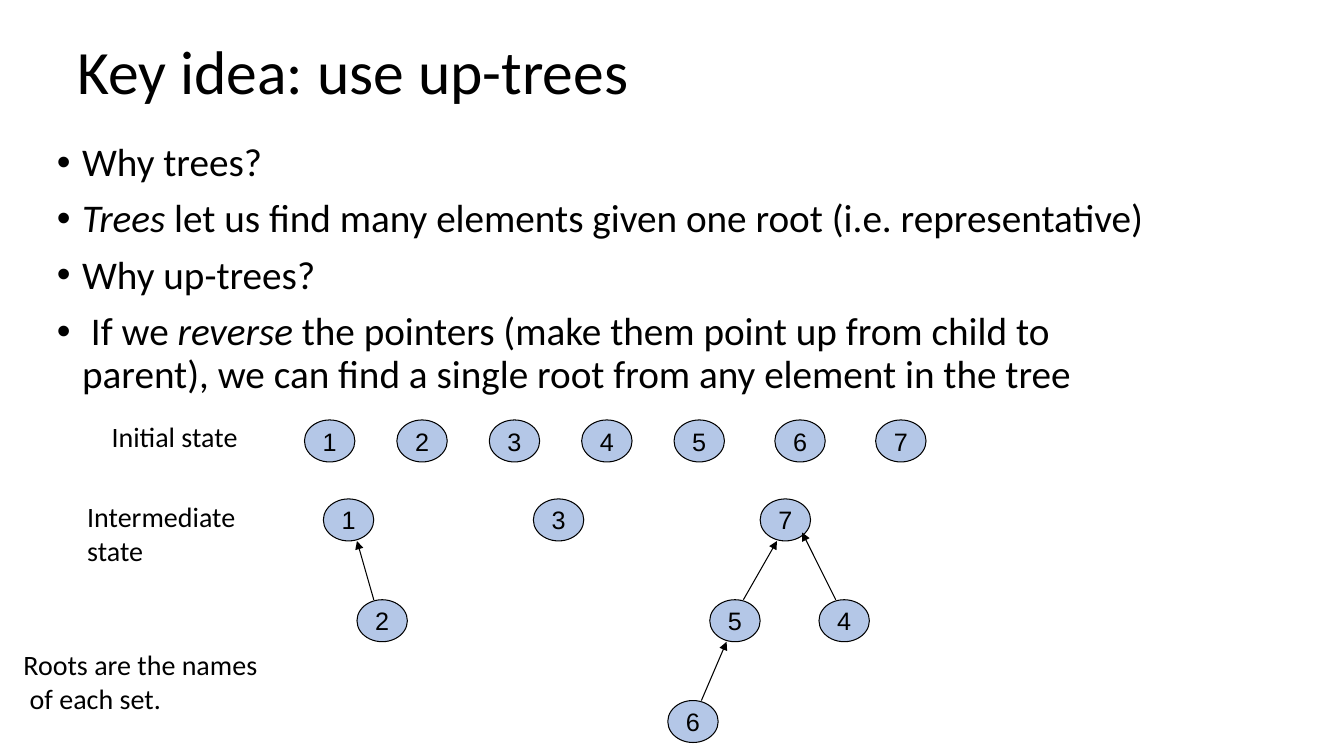
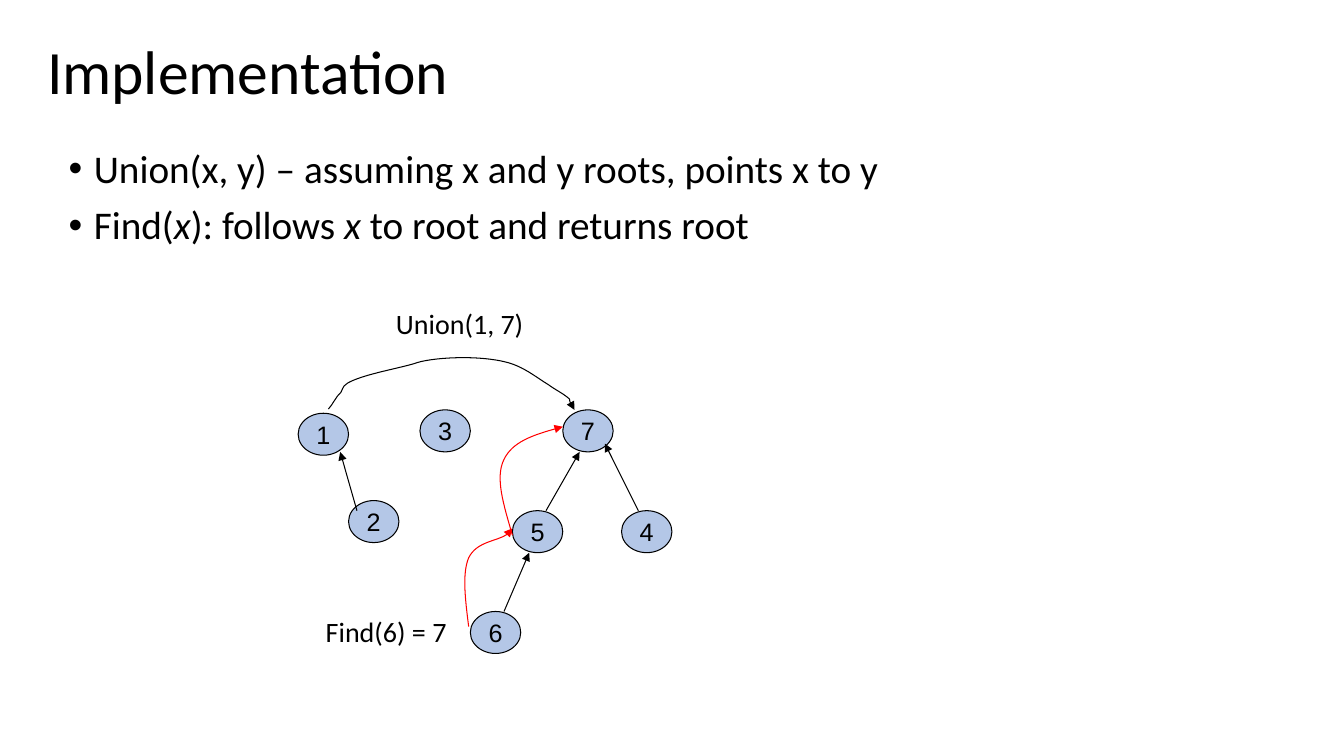
from lxml.etree import SubElement
from pptx import Presentation
from pptx.dml.color import RGBColor
from pptx.enum.shapes import MSO_CONNECTOR, MSO_SHAPE
from pptx.enum.text import MSO_ANCHOR, PP_ALIGN
from pptx.oxml.ns import qn
from pptx.util import Inches, Pt

COLORS = {"ink": "000000", "node": "B4C7E7", "find": "FF0000"}
FONTS = {
    "title": {"name": "Calibri", "size": Pt(44)},
    "body": {"name": "Calibri", "size": Pt(28)},
    "label": {"name": "Calibri", "size": Pt(20)},
    "node": {"name": "Arial", "size": Pt(18)},
}
CELL = Inches(1) // 12  # the slide is 160 columns by 90 rows
NODE = (6, 5)


def grid(*cells):
    return [round(cell * CELL) for cell in cells]


def tint(color, name):
    color.rgb = RGBColor.from_string(COLORS[name])


class Deck:
    """Holds the shared style and the slide being drawn."""

    def __init__(self):
        self.show = Presentation()
        self.show.slide_width, self.show.slide_height = grid(160, 90)
        self.slide = None

    def start(self, title, left):
        layout = self.show.slide_layouts.get_by_name("Title Only")
        self.slide = self.show.slides.add_slide(layout)
        head = self.slide.shapes.title
        head.left, head.top, head.width, head.height = grid(left, 0.1, 138, 17.5)
        head.text_frame.vertical_anchor = MSO_ANCHOR.MIDDLE
        par = head.text_frame.paragraphs[0]
        self.put(par, title, "title", alignment=PP_ALIGN.LEFT, line_spacing=0.9)

    def put(self, par, text, kind, **form):
        """Fill a paragraph; words between asterisks are italic."""
        for key, value in form.items():
            setattr(par, key, value)
        for i, part in enumerate(text.split("*")):
            if part:
                run = par.add_run()
                run.text = part
                for key, value in FONTS[kind].items():
                    setattr(run.font, key, value)
                tint(run.font.color, "ink")
                if i % 2:
                    run.font.italic = True

    def lines(self, box, texts):
        """Add a text box and yield each paragraph with its text."""
        frame = self.slide.shapes.add_textbox(*grid(*box)).text_frame
        frame.word_wrap = True
        for i, text in enumerate(texts):
            yield (frame.add_paragraph() if i else frame.paragraphs[0]), text

    def label(self, box, *texts):
        for par, text in self.lines(box, texts):
            self.put(par, text, "label")

    def bullets(self, box, *texts):
        form = {"line_spacing": 0.9}
        for par, text in self.lines(box, texts):
            props = par._p.get_or_add_pPr()
            props.set("marL", str(Inches(0.25)))
            props.set("indent", str(-Inches(0.25)))
            SubElement(props, qn("a:buFont"), typeface="Arial")
            SubElement(props, qn("a:buChar"), char="•")
            self.put(par, text, "body", **form)
            form["space_before"] = Pt(10)

    def stroke(self, shape, color="ink", arrow=False):
        tint(shape.line.color, color)
        shape.line.width = Pt(0.75)
        if arrow:
            ln = shape.element.spPr.find(qn("a:ln"))
            SubElement(ln, qn("a:tailEnd"), type="triangle")

    def node(self, text, col, row):
        oval = self.slide.shapes.add_shape(MSO_SHAPE.OVAL, *grid(col, row, *NODE))
        oval.shadow.inherit = False
        oval.fill.solid()
        tint(oval.fill.fore_color, "node")
        self.stroke(oval)
        frame = oval.text_frame
        frame.word_wrap = False
        frame.vertical_anchor = MSO_ANCHOR.MIDDLE
        self.put(frame.paragraphs[0], text, "node", alignment=PP_ALIGN.CENTER)

    def arrow(self, start, end):
        line = self.slide.shapes.add_connector(
            MSO_CONNECTOR.STRAIGHT, *grid(*start, *end))
        self.stroke(line, arrow=True)
        SubElement(line.element.spPr, qn("a:effectLst"))

    def curve(self, color, start, *points):
        """Draw Bézier arcs; every three points make one arc."""
        pen = self.slide.shapes.build_freeform(*grid(*start))
        pen.add_line_segments([grid(*point) for point in points], close=False)
        shape = pen.convert_to_shape()
        shape.shadow.inherit = False
        shape.fill.background()
        self.stroke(shape, color, arrow=True)
        track = next(shape.element.iter(qn("a:path")))
        legs = track.findall(qn("a:lnTo"))
        for i in range(0, len(legs), 3):
            arc = SubElement(track, qn("a:cubicBezTo"))
            for leg in legs[i:i + 3]:
                arc.append(leg[0])
                track.remove(leg)

    def tree(self, col, row):
        """Draw the tree whose root 7 stands at the given cell."""
        for text, dx, dy in (("6", -11, 24), ("4", 7, 12), ("5", -6, 12), ("7", 0, 0)):
            self.node(text, col + dx, row + dy)
        for x1, y1, x2, y2 in ((-2, 12, 2, 5), (9, 12, 5, 4), (-7, 24, -4, 17)):
            self.arrow((col + x1, row + y1), (col + x2, row + y2))

    def link(self, col, row):
        """Draw the arrow from 2 up to 1."""
        self.arrow((col, row), (col - 2, row - 7))


def idea(deck):
    deck.start("Key idea: use up-trees", 8)
    deck.bullets(
        (5.6, 16.4, 135.5, 32),
        "Why trees?",
        "*Trees* let us find many elements given one root (i.e. representative)",
        "Why up-trees?",
        " If we *reverse* the pointers (make them point up from child to parent), "
        "we can find a single root from any element in the tree")
    for i in range(7):
        deck.node(str(i + 1), 36.25 + 11 * i + max(0, i - 4), 50)
    deck.label((12.1, 49.4, 19, 5.3), "Initial state")

    top = 59.4
    deck.node("1", 38.5, top)
    deck.node("2", 42.5, top + 12)
    deck.node("3", 63.5, top)
    deck.link(44.5, top + 12)
    deck.tree(90.5, top)
    deck.label((9.2, 58.9, 22, 9.3), "Intermediate", "state")
    deck.label((1.6, 76.5, 32, 9.3), "Roots are the names", " of each set.")


def union(deck):
    deck.start("Implementation", 4.4)
    deck.bullets(
        (7, 17.2, 108, 47),
        "Union(x, y) – assuming x and y roots, points x to y",
        "Find(*x*): follows *x* to root and returns root")
    top = 48.8
    deck.node("1", 35.5, 49.2)
    deck.node("2", 41.5, 59.6)
    deck.node("3", 50, top)
    deck.link(42.5, top + 12)
    deck.tree(67, top)
    deck.curve(
        "ink", (39.1, 48.7),
        (39.6, 48.2), (40, 47.2), (40.6, 46.7),
        (40.9, 46), (41, 45.8), (41.4, 45.6),
        (43.2, 44.6), (46.8, 44), (49.3, 43.3),
        (51, 42.6), (56.6, 42.2), (60.2, 43.1),
        (62.3, 43.6), (63.8, 44.9), (65.3, 45.8),
        (66.1, 46.4), (67, 46.8), (67.8, 47.5),
        (67.9, 48.1), (68.2, 48.4), (68.4, 48.8))
    deck.label((45.2, 35.9, 20, 5.3), " Union(1, 7)")
    deck.curve(
        "find", (55.8, 74.6),
        (55.4, 71.4), (55, 68.3), (55.8, 66.4),
        (56.8, 64.4), (60.4, 64.4), (61, 62.9))
    deck.curve(
        "find", (61, 63.7),
        (60, 60.2), (58.9, 56.9), (60, 54.7),
        (61, 52.6), (64, 51.6), (67, 50.8))
    deck.label((37.6, 72.6, 18, 5.3), "Find(6) = 7")


def main():
    deck = Deck()
    idea(deck)
    union(deck)
    deck.show.save("out.pptx")


if __name__ == "__main__":
    main()
